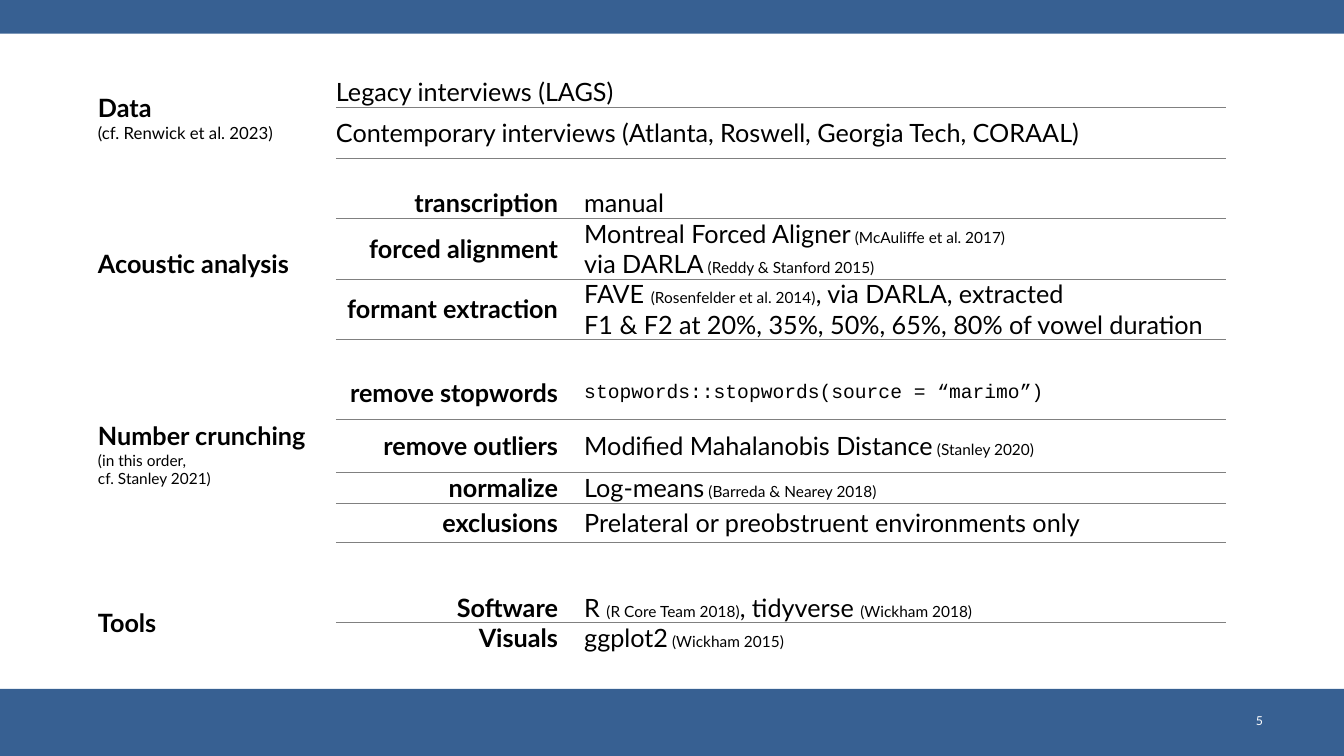
from copy import deepcopy

from lxml.etree import SubElement
from pptx import Presentation
from pptx.dml.color import RGBColor
from pptx.enum.shapes import MSO_SHAPE
from pptx.enum.text import MSO_ANCHOR, PP_ALIGN
from pptx.oxml.ns import qn
from pptx.util import Pt

BLUE = RGBColor(0x37, 0x60, 0x92)
WHITE = RGBColor(0xFF, 0xFF, 0xFF)
BLACK = RGBColor(0, 0, 0)
GRAY = RGBColor(0x80, 0x80, 0x80)
WIDTH, HEIGHT = 960, 540
NO_GRID_STYLE = "{2D5ABB26-0587-4C30-8999-92F81FD0307C}"
COLUMN_WIDTHS = (170, 168, 468)
GUTTER = 9.36

GROUPS = [
    ("Data", "(cf. Renwick et al. 2023)", 12, 20.7, [
        ("", "Legacy interviews (LAGS)", 21.7),
        ("", "Contemporary interviews (Atlanta, Roswell, Georgia Tech, CORAAL)", 37),
    ]),
    ("Acoustic analysis", "", 11, 19.3, [
        ("transcription", "manual", 21.7),
        ("forced alignment",
         "Montreal Forced Aligner| (McAuliffe et al. 2017) \nvia DARLA| (Reddy & Stanford 2015)", 43.4),
        ("formant extraction",
         "FAVE |(Rosenfelder et al. 2014)|, via DARLA, extracted \n"
         "F1 & F2 at 20%, 35%, 50%, 65%, 80% of vowel duration", 43.4),
    ]),
    ("Number crunching", "(in this order, \ncf. Stanley 2021)", 11, 35.7, [
        ("remove stopwords", "stopwords::stopwords(source = “marimo”)", 37.6),
        ("remove outliers", "Modified Mahalanobis Distance| (Stanley 2020)", 38.2),
        ("normalize", "Log-means| (Barreda & Nearey 2018)", 21.7),
        ("exclusions", "Prelateral or preobstruent environments only", 28.1),
    ]),
    ("Tools", "", 11, 0, [
        ("Software", "R |(R Core Team 2018)|, tidyverse |(Wickham 2018)", 21.7),
        ("Visuals", "ggplot2| (Wickham 2015)", 21.7),
    ]),
]


class MethodsSlide:
    font = "Lato"
    code_font = "Courier New"
    size, reference_size, code_size = 18, 11, 14

    def __init__(self, presentation):
        self.slide = presentation.slides.add_slide(presentation.slide_layouts[6])

    def style_run(self, run, size, bold=False, color=BLACK, font=None):
        run.font.name = font or self.font
        run.font.size = Pt(size)
        run.font.bold = bold
        run.font.color.rgb = color

    def bar(self, top, height):
        shape = self.slide.shapes.add_shape(
            MSO_SHAPE.RECTANGLE, 0, Pt(top), Pt(WIDTH), Pt(height))
        shape.shadow.inherit = False
        shape.fill.solid()
        shape.fill.fore_color.rgb = BLUE
        shape.line.fill.background()

    def page_number(self, number):
        box = self.slide.shapes.add_textbox(Pt(860.4), Pt(500.4), Pt(51.1), Pt(28.8))
        text_frame = box.text_frame
        text_frame.word_wrap = True
        text_frame.vertical_anchor = MSO_ANCHOR.MIDDLE
        text_frame.margin_left = text_frame.margin_right = Pt(GUTTER)
        text_frame.margin_top = text_frame.margin_bottom = Pt(GUTTER)
        text_frame.text = number
        paragraph = text_frame.paragraphs[0]
        paragraph.alignment = PP_ALIGN.RIGHT
        self.style_run(paragraph.runs[0], 8.8, color=WHITE)

    def add_text(self, paragraph, text, sizes, bold=False, font=None):
        for line_index, line in enumerate(text.split("\n")):
            if line_index:
                paragraph.add_line_break()
                line_break = paragraph._p[-1]
                line_break.append(deepcopy(run._r.get_or_add_rPr()))
            for index, piece in enumerate(line.split("|")):
                run = paragraph.add_run()
                run.text = piece
                self.style_run(run, sizes[index % 2], bold, font=font)

    def border(self, cell, side):
        line = SubElement(cell._tc.get_or_add_tcPr(), qn(f"a:ln{side}"), w=str(Pt(0.5)))
        fill = SubElement(line, qn("a:solidFill"))
        SubElement(fill, qn("a:srgbClr"), val=str(GRAY))

    def table(self, left, top, groups):
        heights = []
        for *_, gap, rows in groups:
            heights += [height for *_, height in rows] + ([gap] if gap else [])
        frame = self.slide.shapes.add_table(
            len(heights), len(COLUMN_WIDTHS), Pt(left), Pt(top),
            Pt(sum(COLUMN_WIDTHS)), Pt(sum(heights)))
        table = frame.table
        table.first_row = table.horz_banding = False
        table._tbl.tblPr.find(qn("a:tableStyleId")).text = NO_GRID_STYLE
        for column, width in zip(table.columns, COLUMN_WIDTHS):
            column.width = Pt(width)
        for row, height in zip(table.rows, heights):
            row.height = Pt(height)
        for cell in table.iter_cells():
            cell.margin_left = cell.margin_top = cell.margin_bottom = 0
            cell.margin_right = Pt(GUTTER)
            cell.vertical_anchor = MSO_ANCHOR.MIDDLE
        first = 0
        for heading, note, note_size, _, rows in groups:
            self.group(table, first, heading, note, note_size, rows)
            first += len(rows) + 1
        for cell in table.iter_cells():
            cell.fill.background()
            if not cell.text_frame.text:
                SubElement(cell.text_frame.paragraphs[0]._p, qn("a:endParaRPr"), sz="600")

    def group(self, table, first, heading, note, note_size, rows):
        last = first + len(rows) - 1
        heading_cell = table.cell(first, 0)
        heading_cell.merge(table.cell(last, 0))
        text_frame = heading_cell.text_frame
        self.add_text(text_frame.paragraphs[0], heading, (self.size, self.size), True)
        if note:
            self.add_text(text_frame.add_paragraph(), note, (note_size, note_size))
        for index, (step, detail, _) in enumerate(rows, first):
            step_cell, detail_cell = table.cell(index, 1), table.cell(index, 2)
            for cell in (step_cell, detail_cell):
                if index > first:
                    self.border(cell, "T")
                if index < last:
                    self.border(cell, "B")
            if step:
                paragraph = step_cell.text_frame.paragraphs[0]
                paragraph.alignment = PP_ALIGN.RIGHT
                self.add_text(paragraph, step, (self.size, self.size), True)
                detail_cell.margin_left, detail_cell.margin_right = Pt(GUTTER), 0
            else:
                step_cell.merge(detail_cell)
                detail_cell = step_cell
            is_code = "::" in detail
            self.add_text(detail_cell.text_frame.paragraphs[0], detail,
                          (self.code_size if is_code else self.size, self.reference_size),
                          font=self.code_font if is_code else None)


def main():
    presentation = Presentation()
    presentation.slide_width, presentation.slide_height = Pt(WIDTH), Pt(HEIGHT)
    methods = MethodsSlide(presentation)
    methods.bar(492, 48)
    methods.bar(0, 24)
    methods.page_number("5")
    methods.table(70, 54.7, GROUPS)
    presentation.save("out.pptx")


if __name__ == "__main__":
    main()
